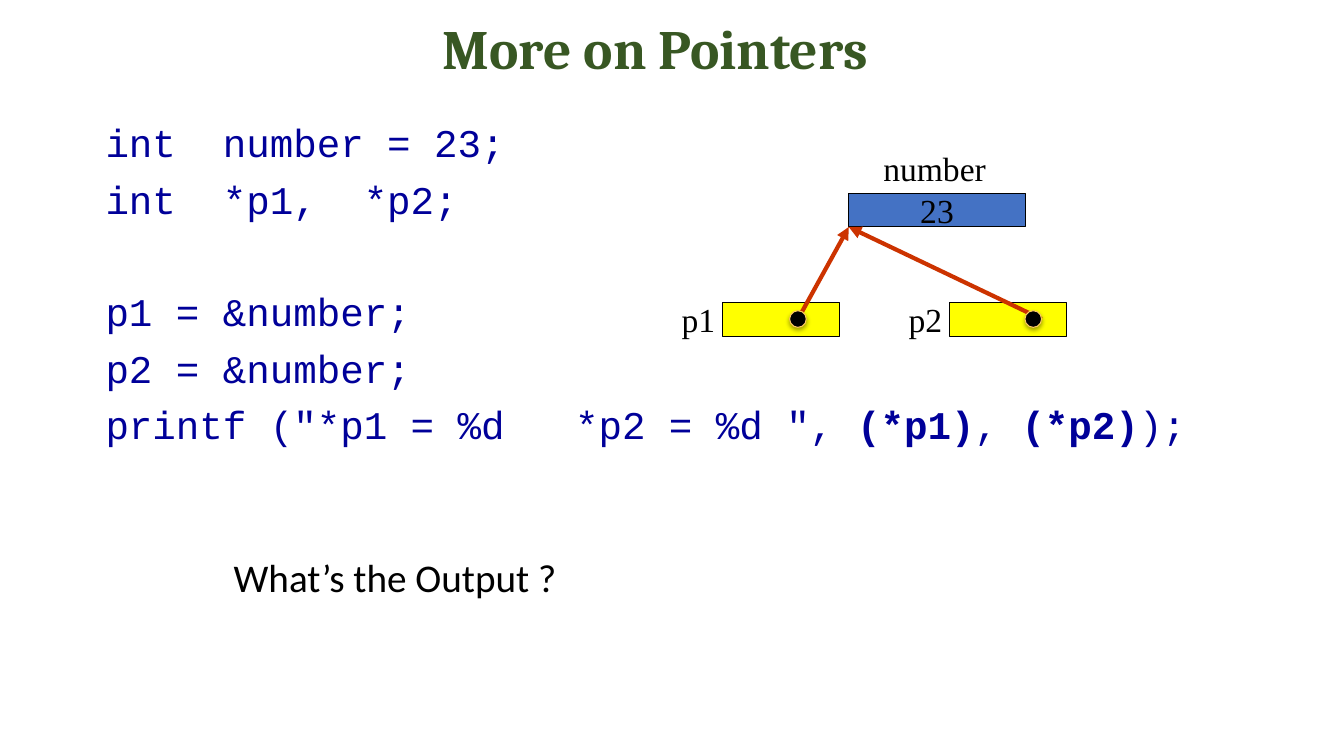
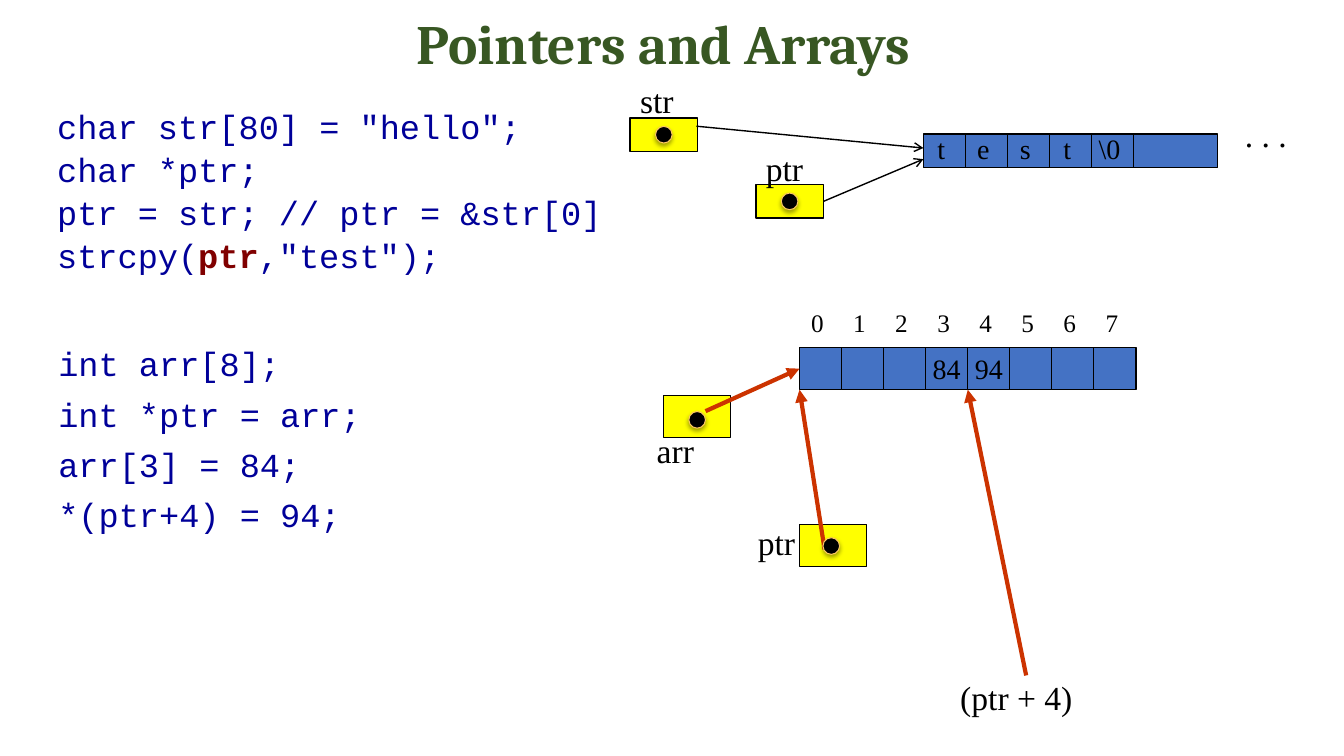
"""Build two slides about pointers, with code and memory diagrams."""
import dataclasses
import typing

import lxml.etree
import pptx
import pptx.dml.color
import pptx.enum.shapes
import pptx.enum.text
import pptx.oxml.ns
import pptx.shapes.autoshape
import pptx.shapes.connector
import pptx.slide
import pptx.util

Cm = pptx.util.Cm
Pt = pptx.util.Pt
Align = pptx.enum.text.PP_ALIGN
Anchor = pptx.enum.text.MSO_ANCHOR
Kind = pptx.enum.shapes.MSO_SHAPE
Slide = pptx.slide.Slide
Shape = pptx.shapes.autoshape.Shape
Line = pptx.shapes.connector.Connector
qn = pptx.oxml.ns.qn


@dataclasses.dataclass(frozen=True)
class Theme:
    """Colours, fonts and type sizes of the deck."""
    black: str = "000000"
    green: str = "385723"
    navy: str = "000099"
    maroon: str = "800000"
    blue: str = "4472C4"
    yellow: str = "FFFF00"
    red: str = "CC3300"
    gold: str = "FDC960"
    head: str = "Cambria"
    code: str = "Courier New"
    body: str = "Calibri"
    label: str = "Times New Roman"
    title: float = 39.6
    large: float = 28
    text: float = 24
    small: float = 20
    index: float = 18
    thin: float = 0.75
    rule: float = 1
    bold: float = 3


THEME = Theme()


class Box(typing.NamedTuple):
    """A frame in centimetres."""
    x: float
    y: float
    w: float
    h: float

    def mid(self) -> tuple[float, float]:
        """Return the centre."""
        return self.x + self.w / 2, self.y + self.h / 2


class Run(typing.NamedTuple):
    """A piece of a line with its own weight and colour."""
    text: str
    bold: bool = False
    tint: str | None = None


class Label(typing.NamedTuple):
    """A short caption and its frame."""
    text: str
    box: Box
    anchor: Anchor = Anchor.TOP


def rgb(code: str) -> pptx.dml.color.RGBColor:
    """Turn a hex code into a colour."""
    return pptx.dml.color.RGBColor.from_string(code)


def write(shape: Shape, lines: list[str | list[Run]], *, font: str = THEME.label,
          size: float = THEME.text, tint: str = THEME.black, bold: bool = False,
          align: Align = Align.LEFT, anchor: Anchor = Anchor.TOP, wrap: bool = False,
          lead: float = 1, space: float = 0, extra: dict[int, float] | None = None) -> None:
    """Fill a shape with formatted lines."""
    frame = shape.text_frame
    frame.word_wrap = wrap
    frame.vertical_anchor = anchor
    for num, line in enumerate(lines):
        para = frame.add_paragraph() if num else frame.paragraphs[0]
        para.alignment = align
        para.line_spacing = lead
        para.space_before = Pt(space + (extra or {}).get(num, 0))
        for part in [Run(line)] if isinstance(line, str) else line:
            run = para.add_run()
            run.text = part.text
            run.font.name = font
            run.font.size = Pt(size)
            run.font.bold = bold or part.bold
            run.font.color.rgb = rgb(part.tint or tint)


def note(slide: Slide, box: Box, lines: list[str | list[Run]], **style: typing.Any) -> None:
    """Add a text box."""
    write(slide.shapes.add_textbox(*map(Cm, box)), lines, **style)


def head(slide: Slide, box: Box, text: str) -> None:
    """Add the slide title."""
    note(slide, box, [text], font=THEME.head, size=THEME.title, tint=THEME.green,
         bold=True, align=Align.CENTER, anchor=Anchor.MIDDLE, wrap=True, lead=0.9)


def code(slide: Slide, box: Box, lines: list[str | list[Run]], **style: typing.Any) -> None:
    """Add a block of code."""
    note(slide, box, lines, font=THEME.code, tint=THEME.navy, wrap=True, lead=0.9, **style)


def captions(slide: Slide, labels: list[Label]) -> None:
    """Add the captions of a diagram."""
    for text, box, anchor in labels:
        note(slide, box, [text], anchor=anchor)


def spread(slide: Slide, box: Box, texts: list[str], size: float) -> None:
    """Centre one text over each step of a row, starting at a frame."""
    for num, text in enumerate(texts):
        note(slide, box._replace(x=box.x + num * box.w), [text], size=size,
             align=Align.CENTER)


def block(slide: Slide, box: Box, fill: str, width: float = THEME.thin,
          kind: Kind = Kind.RECTANGLE, edge: str = THEME.black) -> Shape:
    """Draw a filled and outlined shape."""
    shape = slide.shapes.add_shape(kind, *map(Cm, box))
    shape.shadow.inherit = False
    shape.fill.solid()
    shape.fill.fore_color.rgb = rgb(fill)
    shape.line.color.rgb = rgb(edge)
    shape.line.width = Pt(width)
    return shape


def dot(slide: Slide, x: float, y: float, size: float = 0.42) -> None:
    """Draw a pointer dot with a soft shadow."""
    box = Box(x - size / 2, y - size / 2, size, size)
    shape = block(slide, box, THEME.black, kind=Kind.OVAL, edge=THEME.gold)
    glow = lxml.etree.SubElement(
        shape._element.spPr.find(qn("a:effectLst")), qn("a:outerShdw"),
        blurRad=str(Pt(3.1)), dist=str(Pt(1.8)), dir="5400000", rotWithShape="0")
    tone = lxml.etree.SubElement(glow, qn("a:srgbClr"), val=THEME.black)
    lxml.etree.SubElement(tone, qn("a:alpha"), val="35000")


def link(slide: Slide, start: tuple[float, float], end: tuple[float, float], *,
         tint: str = THEME.red, width: float = THEME.bold,
         tip: str | None = "triangle") -> Line:
    """Draw a straight line, with an arrowhead if a tip is named."""
    line = slide.shapes.add_connector(
        pptx.enum.shapes.MSO_CONNECTOR.STRAIGHT, *map(Cm, (*start, *end)))
    line.line.color.rgb = rgb(tint)
    line.line.width = Pt(width)
    props = line._element.spPr
    if tip:
        lxml.etree.SubElement(props.find(qn("a:ln")), qn("a:tailEnd"), type=tip)
    lxml.etree.SubElement(props, qn("a:effectLst"))
    return line


def pointers(slide: Slide) -> None:
    """Draw the slide with two pointers to one number."""
    head(slide, Box(5.08, 0.43, 22.86, 1.75), "More on Pointers")
    code(slide, Box(2.41, 3, 29.74, 12.62), [
        "int  number = 23;",
        "int  *p1,  *p2;",
        "p1 = &number;",
        "p2 = &number;",
        [Run('printf ("*p1 = %d   *p2 = %d ", '), Run("(*p1)", True), Run(", "),
         Run("(*p2)", True), Run(");")],
    ], size=THEME.large, space=10, extra={2: 40.3})
    note(slide, Box(5.64, 13.82, 8.74, 1.45), ["What’s the Output ?"],
         font=THEME.body, size=THEME.large)

    cell = Box(21.39, 4.87, 4.45, 0.85)
    write(block(slide, cell, THEME.blue), ["23"], align=Align.CENTER, anchor=Anchor.MIDDLE)
    for x in (18.2, 23.92):
        block(slide, Box(x, 7.62, 2.96, 0.85), THEME.yellow)
    for x in (20.11, 26.25):
        link(slide, (x, 8.04), (cell.x, cell.y + cell.h))
    for x in (20.11, 26.04):
        dot(slide, x, 8.04)
    captions(slide, [
        Label("number", Box(22.01, 3.61, 3.12, 1.27)),
        Label("p1", Box(16.93, 7.42, 1.37, 1.27)),
        Label("p2", Box(22.65, 7.42, 1.37, 1.27)),
    ])


def string(slide: Slide, step: float) -> None:
    """Draw the string and the two pointers to it."""
    first, second = Box(15.88, 2.97, 1.7, 0.85), Box(19.05, 4.65, 1.7, 0.85)
    strip = Box(23.27, 3.38, 7 * step, 0.85)
    block(slide, strip, THEME.blue, THEME.rule)
    thin = {"tint": THEME.black, "width": THEME.rule}
    for num in range(1, 6):
        x = strip.x + num * step
        link(slide, (x, strip.y), (x, strip.y + strip.h), tip=None, **thin)
    spread(slide, Box(strip.x - 0.08, 3.18, step, 1.12), ["t", "e", "s", "t", "\\0"],
           THEME.small)
    for box in (first, second):
        source = block(slide, box, THEME.yellow, THEME.rule)
        dot(slide, *box.mid())
    captions(slide, [
        Label("str", Box(15.88, 1.9, 1.37, 1.27)),
        Label("ptr", Box(19.05, 3.61, 1.47, 1.27)),
        Label(". . .", Box(31.12, 2.74, 1.8, 1.27)),
    ])
    link(slide, (17.55, 3.18), (strip.x, 3.73), tip="arrow", **thin)
    line = link(slide, (20.75, 5.08), (strip.x, 4.01), tip="arrow", **thin)
    line.begin_connect(source, 3)


def array(slide: Slide, step: float) -> None:
    """Draw the array and the pointers into it."""
    row = Box(20.15, 8.76, step, step)
    base = row.y + row.h
    cells = [block(slide, row._replace(x=row.x + num * step), THEME.blue)
             for num in range(8)]
    for num, text in ((3, "84"), (4, "94")):
        write(cells[num], [text], size=THEME.small, align=Align.CENTER, anchor=Anchor.MIDDLE)
    spread(slide, Box(row.x - 0.08, 7.62, step, 1.02), [str(num) for num in range(8)],
           THEME.index)
    for x, y in ((16.71, 9.96), (row.x, 13.21)):
        block(slide, Box(x, y, 1.7, step), THEME.yellow)
    captions(slide, [
        Label("arr", Box(16.3, 10.8, 5.51, 1.07), Anchor.MIDDLE),
        Label("ptr", Box(18.85, 13.13, 3.38, 1.07), Anchor.MIDDLE),
        Label("(ptr + 4)", Box(23.95, 17.02, 3.38, 1.07), Anchor.MIDDLE),
    ])
    link(slide, (20.78, 13.84), (row.x, base))
    link(slide, (25.86, 17.02), (row.x + 4 * step, base))
    line = link(slide, (17.78, 10.36), (row.x, row.y + row.h / 2))
    line.end_connect(cells[0], 1)
    dot(slide, 20.95, 13.76)
    dot(slide, 17.57, 10.58)


def arrays(slide: Slide) -> None:
    """Draw the slide on pointers and arrays."""
    head(slide, Box(5.92, 0.43, 21.59, 1.47), "Pointers and Arrays")
    code(slide, Box(1.22, 8.64, 15.11, 7.75), [
        "int arr[8];",
        "int *ptr = arr;",
        "arr[3] = 84;",
        "*(ptr+4) = 94;",
    ], space=10)
    code(slide, Box(1.19, 2.67, 15.93, 5.51), [
        'char str[80] = "hello";',
        "char *ptr;",
        "ptr = str; // ptr = &str[0]",
        [Run("strcpy("), Run("ptr", True, THEME.maroon), Run(',"test");')],
    ], space=4.8)
    step = 1.06
    array(slide, step)
    string(slide, step)


def main() -> None:
    """Build and save the deck."""
    deck = pptx.Presentation()
    deck.slide_width, deck.slide_height = Cm(33.87), Cm(19.05)
    for draw in (pointers, arrays):
        draw(deck.slides.add_slide(deck.slide_layouts[6]))
    deck.save("out.pptx")


if __name__ == "__main__":
    main()
